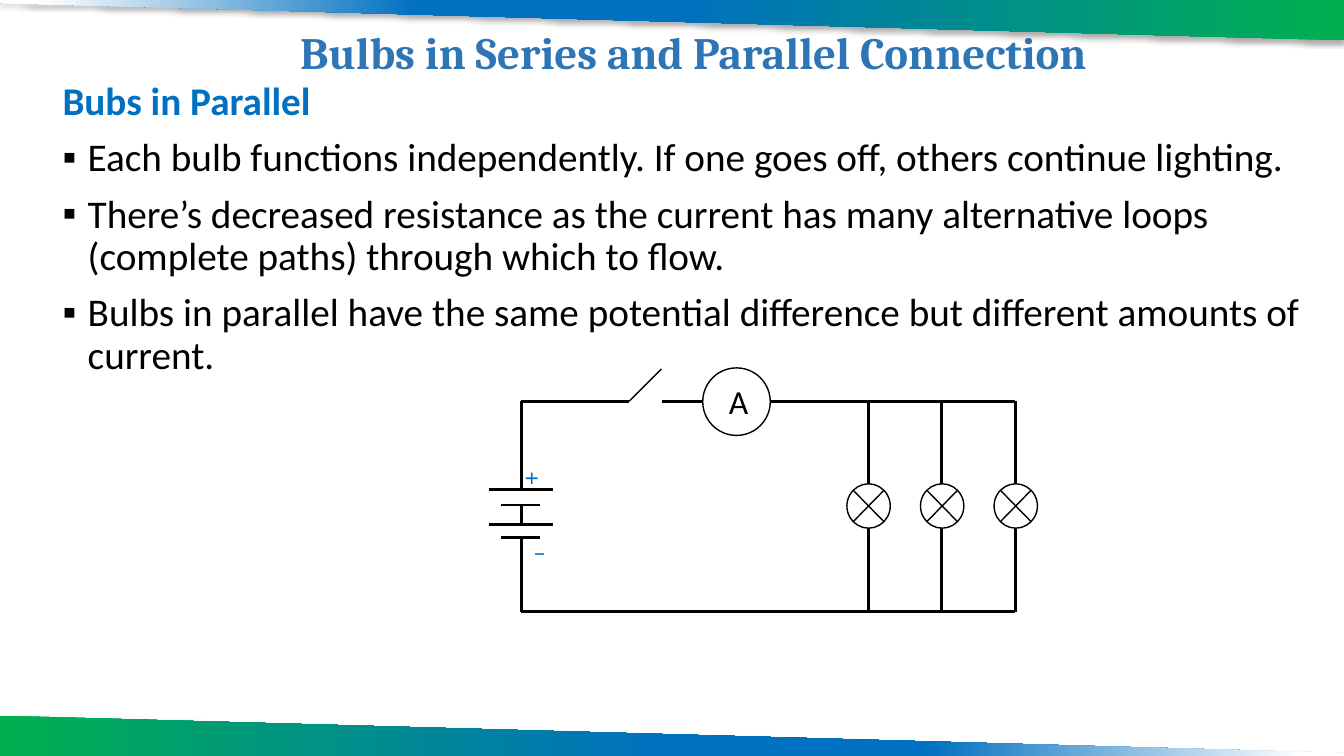
from dataclasses import dataclass
from lxml import etree
from pptx import Presentation
from pptx import util as u
from pptx.dml.color import RGBColor
from pptx.enum import shapes, text
from pptx.oxml import parse_xml
from pptx.oxml.ns import nsdecls, qn


@dataclass(frozen=True)
class Theme:
    ink: str = "000000"
    paper: str = "FFFFFF"
    blue: str = "0070C0"
    green: str = "00B050"
    title_blue: str = "2E75B6"
    head_font: str = "Cambria"
    body_font: str = "Calibri"
    title_size: int = 32
    body_size: int = 28
    meter_size: int = 24
    sign_size: int = 18
    wire: int = 2
    thin: int = 1


T = Theme()


def style(p, size, color, bold=False, font=T.body_font):
    for r in p.runs:
        r.font.name = font
        r.font.size = u.Pt(size)
        r.font.bold = bold
        r.font.color.rgb = RGBColor.from_string(color)


def wire(x1, y1, x2, y2, width=T.wire):
    c = s.shapes.add_connector(shapes.MSO_CONNECTOR.STRAIGHT, u.Inches(x1),
                               u.Inches(y1), u.Inches(x2), u.Inches(y2))
    c.line.color.rgb = RGBColor.from_string(T.ink)
    c.line.width = u.Pt(width)
    etree.SubElement(c._element.spPr, qn("a:effectLst"))


prs = Presentation()
prs.slide_width, prs.slide_height = u.Inches(13.33), u.Inches(7.5)
s = prs.slides.add_slide(prs.slide_layouts[1])

bands = [
    ([(0, 0), (13.33, 0), (13.33, 0.4), (0, 0.03)], 180),
    ([(13.33, 7.5), (0, 7.5), (0, 7.1), (13.33, 7.47)], 0),
]
stops = [(0, T.green), (50, T.blue), (69, T.blue), (97, T.paper)]
for points, angle in bands:
    corners = [(u.Inches(x), u.Inches(y)) for x, y in points]
    fb = s.shapes.build_freeform(*corners[0])
    fb.add_line_segments(corners[1:], close=True)
    band = fb.convert_to_shape()
    band.line.fill.background()
    band.fill.gradient()
    band.fill.gradient_angle = angle
    gs_list = band._element.spPr.find(".//" + qn("a:gsLst"))
    for gs in list(gs_list):
        gs_list.remove(gs)
    for pos, color in stops:
        gs = etree.SubElement(gs_list, qn("a:gs"), pos=str(pos * 1000))
        etree.SubElement(gs, qn("a:srgbClr"), val=color)
    band._element.spPr.append(parse_xml(
        f'<a:effectLst {nsdecls("a")}><a:outerShdw blurRad="{u.Pt(3.5)}" '
        f'dist="{u.Pt(2.2)}" dir="5400000" rotWithShape="0"><a:srgbClr val="{T.ink}">'
        '<a:alpha val="32000"/></a:srgbClr></a:outerShdw></a:effectLst>'))

title = s.shapes.title
title.left, title.top = u.Inches(1.29), u.Inches(0.14)
title.width, title.height = u.Inches(11.18), u.Inches(0.81)
tf = title.text_frame
tf.text = "Bulbs in Series and Parallel Connection"
tf.auto_size = text.MSO_AUTO_SIZE.NONE
tf.vertical_anchor = text.MSO_ANCHOR.MIDDLE
p = tf.paragraphs[0]
p.alignment = text.PP_ALIGN.CENTER
p.line_spacing = 0.9
style(p, T.title_size, T.title_blue, True, T.head_font)

body = s.placeholders[1]
body.left, body.top = u.Inches(0.52), u.Inches(0.76)
body.width, body.height = u.Inches(12.65), u.Inches(6.44)
tf = body.text_frame
tf.auto_size = text.MSO_AUTO_SIZE.NONE
tf.vertical_anchor = text.MSO_ANCHOR.TOP
lines = [
    "Bubs in Parallel",
    "Each bulb functions independently. If one goes off, others continue lighting.",
    "There’s decreased resistance as the current has many alternative loops (complete paths) through which to flow.",
    "Bulbs in parallel have the same potential difference but different amounts of current.",
]
for i, line in enumerate(lines):
    p = tf.paragraphs[0] if i == 0 else tf.add_paragraph()
    p.text = line
    pPr = p._p.get_or_add_pPr()
    indent = u.Inches(0.25) if i else 0
    pPr.set("marL", str(indent))
    pPr.set("indent", str(-indent))
    if i:
        etree.SubElement(pPr, qn("a:buChar"), char="▪")
    else:
        etree.SubElement(pPr, qn("a:buNone"))
    p.line_spacing = 0.9
    p.space_before = u.Pt(10 if i else 0)
    style(p, T.body_size, T.ink if i else T.blue, i == 0)

top, bottom = 3.98, 6.07
battery_x, right = 5.17, 10.07
bulb_xs = [8.61, 9.34, right]

for plate_y in (4.86, 5.2):
    wire(4.85, plate_y, 5.48, plate_y)
for plate_y in (5.01, 5.33):
    wire(4.97, plate_y, 5.36, plate_y)
for y1, y2 in ((top, 4.86), (5.01, 5.2), (5.33, bottom)):
    wire(battery_x, y1, battery_x, y2)
wire(battery_x, top, 6.24, top)
wire(6.24, top, 6.56, 3.66, T.thin)
wire(6.57, top, right, top)
wire(battery_x, bottom, right, bottom)
for x in bulb_xs:
    wire(x, top, x, bottom)

symbols = [(shapes.MSO_SHAPE.OVAL, 6.97, 3.65, 0.67, 0.67)]
symbols += [(shapes.MSO_SHAPE.FLOWCHART_SUMMING_JUNCTION, x - 0.21, 4.8, 0.43, 0.44)
            for x in bulb_xs]
for kind, *box in symbols:
    sp = s.shapes.add_shape(kind, *map(u.Inches, box))
    sp.shadow.inherit = False
    sp.fill.solid()
    sp.fill.fore_color.rgb = RGBColor.from_string(T.paper)
    sp.line.color.rgb = RGBColor.from_string(T.ink)
    sp.line.width = u.Pt(T.thin)

labels = [
    ("+", (5.07, 4.51, 0.2, 0.55), 90, T.sign_size, T.blue),
    ("–", (5.29, 5.32, 0.2, 0.55), 0, T.sign_size, T.blue),
    ("A", (7.23, 3.78, 0.2, 0.4), 0, T.meter_size, T.ink),
]
for label, box, rotation, size, color in labels:
    sp = s.shapes.add_textbox(*map(u.Inches, box))
    sp.rotation = rotation
    tf = sp.text_frame
    tf.margin_left = tf.margin_right = tf.margin_top = tf.margin_bottom = 0
    tf.word_wrap = False
    tf.text = label
    style(tf.paragraphs[0], size, color)

prs.save("out.pptx")
